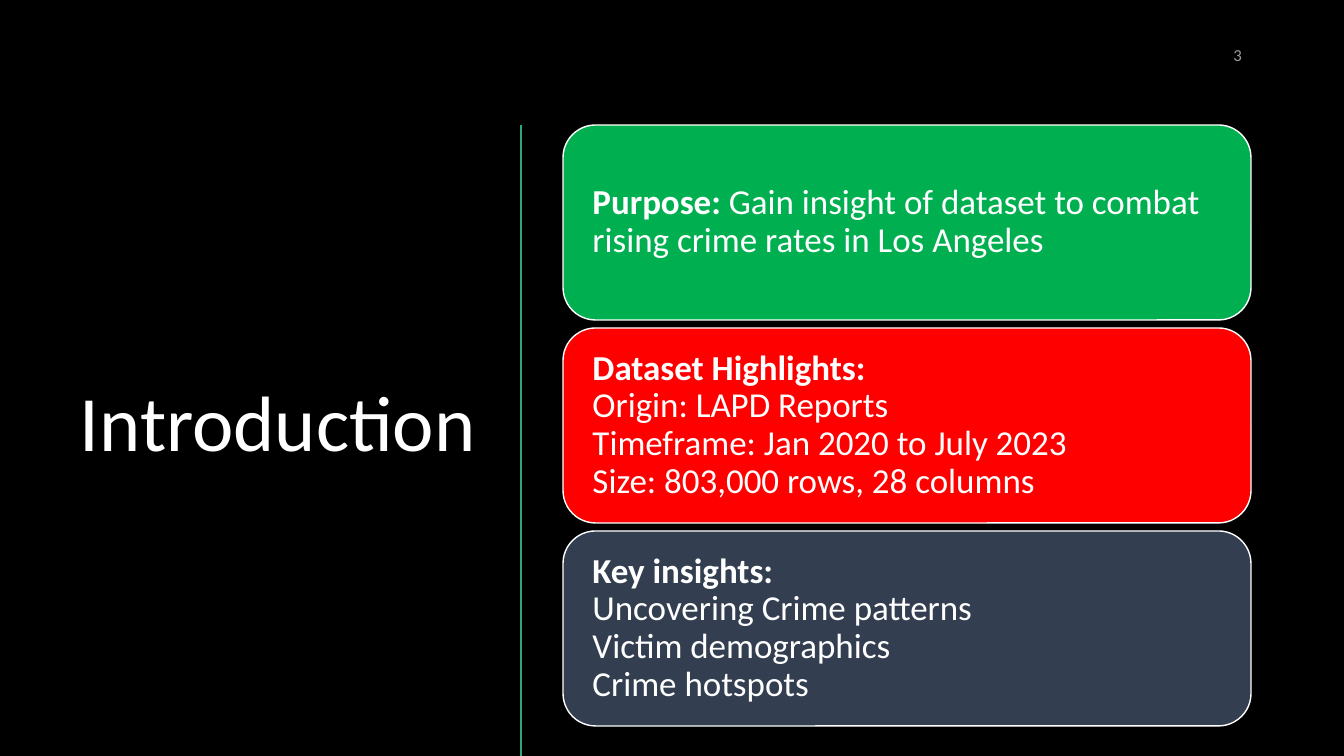
from dataclasses import dataclass
from typing import Any

from lxml.etree import SubElement
from pptx import Presentation
from pptx.dml.color import RGBColor
from pptx.enum.shapes import MSO_CONNECTOR, MSO_SHAPE
from pptx.enum.text import MSO_ANCHOR, MSO_AUTO_SIZE, PP_ALIGN
from pptx.oxml.ns import qn
from pptx.slide import Slide
from pptx.text.text import TextFrame
from pptx.util import Emu, Pt

SLIDE_WIDTH, SLIDE_HEIGHT = 1344, 756
EMU_PER_PX = 12192000 / SLIDE_WIDTH
FONT = "Calibri"
WHITE, BLACK, GRAY, TEAL = "FFFFFF", "000000", "999999", "2BA882"
CARD_LEFT, CARD_TOP, CARD_WIDTH, CARD_HEIGHT, CARD_PITCH = 563, 125, 688, 195, 203
CARD_INSET = 20


@dataclass
class Card:
    heading: str
    lines: list[str]
    fill: str
    heading_on_own_line: bool = True


CARDS = [
    Card("Purpose: ", ["Gain insight of dataset to combat rising crime rates in Los Angeles"],
         "00B050", heading_on_own_line=False),
    Card("Dataset Highlights:",
         ["Origin: LAPD Reports", "Timeframe: Jan 2020 to July 2023",
          "Size: 803,000 rows, 28 columns"], "FF0000"),
    Card("Key insights:",
         ["Uncovering Crime patterns", "Victim demographics", "Crime hotspots"], "333F50"),
]


def px(length: int) -> Emu:
    return Emu(round(length * EMU_PER_PX))


def color(value: str) -> RGBColor:
    return RGBColor.from_string(value)


def apply(target: Any, values: dict[str, Any]) -> None:
    for name, value in values.items():
        setattr(target, name, value)


def format_text(frame: TextFrame, size: int, text_color: str,
                paragraph_values: dict[str, Any]) -> None:
    apply(frame, {"word_wrap": True, "auto_size": MSO_AUTO_SIZE.NONE,
                  "vertical_anchor": MSO_ANCHOR.MIDDLE})
    for paragraph in frame.paragraphs:
        apply(paragraph, {"space_before": Pt(0), **paragraph_values})
        for run in paragraph.runs:
            apply(run.font, {"name": FONT, "size": Pt(size)})
            run.font.color.rgb = color(text_color)


def add_title(slide: Slide, text: str) -> None:
    title = slide.shapes.title
    apply(title, {"left": px(52), "top": px(118), "width": px(434), "height": px(616)})
    title.text_frame.text = text
    format_text(title.text_frame, 56, WHITE,
                {"alignment": PP_ALIGN.RIGHT, "line_spacing": 0.9})


def add_page_number(slide: Slide, text: str) -> None:
    box = slide.shapes.add_textbox(px(950), px(35), px(302), px(40))
    box.text_frame.text = text
    format_text(box.text_frame, 12, GRAY,
                {"alignment": PP_ALIGN.RIGHT, "space_after": Pt(6)})


def add_divider(slide: Slide) -> None:
    divider = slide.shapes.add_connector(
        MSO_CONNECTOR.STRAIGHT, px(521), px(CARD_TOP), px(521), px(SLIDE_HEIGHT))
    divider.line.color.rgb = color(TEAL)
    divider.line.width = Pt(2)
    SubElement(divider._element.spPr, qn("a:effectLst"))


def add_card(slide: Slide, card: Card, top: int) -> None:
    shape = slide.shapes.add_shape(MSO_SHAPE.ROUNDED_RECTANGLE, px(CARD_LEFT), px(top),
                                   px(CARD_WIDTH), px(CARD_HEIGHT))
    shape.shadow.inherit = False
    shape.fill.solid()
    shape.fill.fore_color.rgb = color(card.fill)
    shape.line.color.rgb = color(WHITE)
    shape.line.width = Pt(1)

    frame = shape.text_frame
    apply(frame, {f"margin_{side}": px(CARD_INSET)
                  for side in ("left", "top", "right", "bottom")})
    paragraph = frame.paragraphs[0]
    heading = paragraph.add_run()
    heading.text = card.heading
    heading.font.bold = True
    for index, line in enumerate(card.lines):
        if index or card.heading_on_own_line:
            paragraph.add_line_break()
        paragraph.add_run().text = line
    format_text(frame, 25, WHITE, {"alignment": PP_ALIGN.LEFT, "line_spacing": 0.9})


def main() -> None:
    presentation = Presentation()
    apply(presentation, {"slide_width": px(SLIDE_WIDTH), "slide_height": px(SLIDE_HEIGHT)})
    slide = presentation.slides.add_slide(presentation.slide_layouts[5])
    slide.background.fill.solid()
    slide.background.fill.fore_color.rgb = color(BLACK)

    # Title side
    add_title(slide, "Introduction")
    add_page_number(slide, "3")
    add_divider(slide)

    # Stacked cards
    for index, card in enumerate(CARDS):
        add_card(slide, card, CARD_TOP + index * CARD_PITCH)

    presentation.save("out.pptx")


if __name__ == "__main__":
    main()
